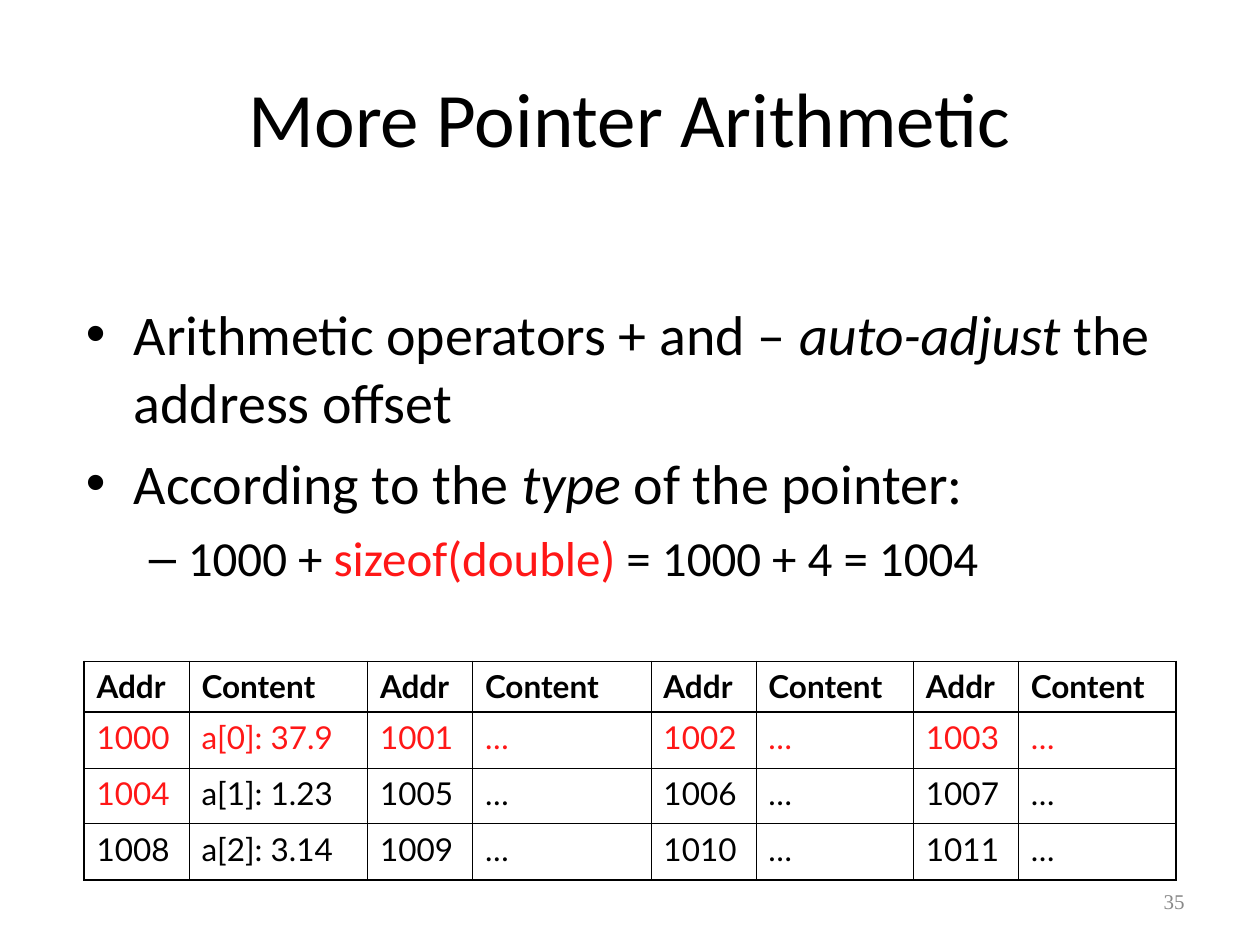
import lxml.etree
import pptx
import pptx.dml.color
import pptx.enum.text
import pptx.oxml
import pptx.oxml.ns
import pptx.util

Pt = pptx.util.Pt
Align = pptx.enum.text.PP_ALIGN
Anchor = pptx.enum.text.MSO_ANCHOR

BLACK = pptx.dml.color.RGBColor(0x00, 0x00, 0x00)
RED = pptx.dml.color.RGBColor(0xFF, 0x17, 0x17)
GRAY = pptx.dml.color.RGBColor(0x89, 0x89, 0x89)

WIDTH = pptx.util.Inches(10)
HEIGHT = pptx.util.Inches(7.5)
COL = WIDTH / 12
ROW = HEIGHT / 12
THICK, THIN = 1.08, 0.45


def place(left, top, width, height):
    return [round(n) for n in (left * COL, top * ROW, width * COL, height * ROW)]


def style(run, size, face="Calibri", color=BLACK, bold=False, slant=False):
    font = run.font
    font.size = Pt(size)
    font.name = face
    font.color.rgb = color
    font.bold = bold
    font.italic = slant


def add_box(slide, area, anchor):
    frame = slide.shapes.add_textbox(*place(*area)).text_frame
    frame.word_wrap = True
    frame.vertical_anchor = anchor
    return frame


def add_label(slide, area, text, align, **look):
    frame = add_box(slide, area, Anchor.MIDDLE)
    frame.text = text
    line = frame.paragraphs[0]
    line.alignment = align
    style(line.runs[0], **look)


def add_mark(line, mark, left, hang):
    props = line._p.get_or_add_pPr()
    props.set("marL", str(pptx.util.Inches(left)))
    props.set("indent", str(-pptx.util.Inches(hang)))
    tag = pptx.oxml.ns.qn
    font = lxml.etree.SubElement(props, tag("a:buFont"))
    font.set("typeface", "Arial")
    lxml.etree.SubElement(props, tag("a:buChar")).set("char", mark)


def add_points(slide, area, points):
    frame = add_box(slide, area, Anchor.TOP)
    levels = [("•", 0.38, 0.38, 32, 8), ("–", 0.81, 0.31, 28, 7)]
    for spot, (level, parts) in enumerate(points):
        line = frame.add_paragraph() if spot else frame.paragraphs[0]
        mark, left, hang, size, gap = levels[level]
        line.level = level
        line.space_before = Pt(gap)
        add_mark(line, mark, left, hang)
        for text, look in parts:
            run = line.add_run()
            run.text = text
            style(run, size, **look)


def add_edge(cell, side, width):
    props = cell._tc.get_or_add_tcPr()
    space = pptx.oxml.ns.nsdecls("a")
    props.append(pptx.oxml.parse_xml(
        f'<a:ln{side} {space} w="{Pt(width)}"><a:solidFill>'
        f'<a:srgbClr val="{BLACK}"/></a:solidFill></a:ln{side}>'))


def fill_cell(cell, text, color, bold, edges):
    for side, thick in edges.items():
        add_edge(cell, side, THICK if thick else THIN)
    cell.fill.background()
    cell.text_frame.text = text
    line = cell.text_frame.paragraphs[0]
    line.space_before = Pt(4.5)
    style(line.runs[0], 18, "Lato", color, bold)


def add_grid(slide, left, top, cols, rows, texts):
    area = place(left, top, sum(cols), sum(rows))
    table = slide.shapes.add_table(len(rows), len(cols), *area).table
    table.first_row = table.horz_banding = False
    for col, width in zip(table.columns, cols):
        col.width = round(width * COL)
    for row, height in zip(table.rows, rows):
        row.height = round(height * ROW)
    for r, line in enumerate(texts):
        for c, text in enumerate(line):
            edges = {"L": c == 0, "R": c == len(cols) - 1,
                     "T": r < 2, "B": r in (0, len(rows) - 1)}
            red = r == 1 or (r, c) == (2, 0)
            fill_cell(table.cell(r, c), text, RED if red else BLACK, r == 0, edges)


def list_cells(values):
    texts = [["Addr", "Content"] * 4]
    for r, value in enumerate(values):
        line = []
        for c in range(4):
            line += [str(1000 + 4 * r + c), "…" if c else f"a[{r}]: {value}"]
        texts.append(line)
    return texts


def main():
    deck = pptx.Presentation()
    deck.slide_width, deck.slide_height = WIDTH, HEIGHT
    slide = deck.slides.add_slide(deck.slide_layouts[6])
    add_label(slide, (0.6, 0.48, 10.8, 2), "More Pointer Arithmetic",
              Align.CENTER, size=44)
    add_points(slide, (0.7, 3.73, 10.8, 7.2), [
        (0, [("Arithmetic operators + and – ", {}),
             ("auto-adjust", {"slant": True}),
             (" the address offset", {})]),
        (0, [("According to the ", {}),
             ("type", {"slant": True}),
             (" of the pointer:", {})]),
        (1, [("1000 + ", {}),
             ("sizeof(double)", {"color": RED}),
             (" = 1000 + 4 = 1004", {})]),
    ])
    add_label(slide, (8.6, 11.12, 2.8, 0.64), "35", Align.RIGHT,
              size=12, face="Times New Roman", color=GRAY)
    add_grid(slide, 0.8, 8.4, [1, 1.7, 1, 1.7, 1, 1.5, 1, 1.5],
             [0.64, 0.71, 0.71, 0.71], list_cells(["37.9", "1.23", "3.14"]))
    deck.save("out.pptx")


if __name__ == "__main__":
    main()
